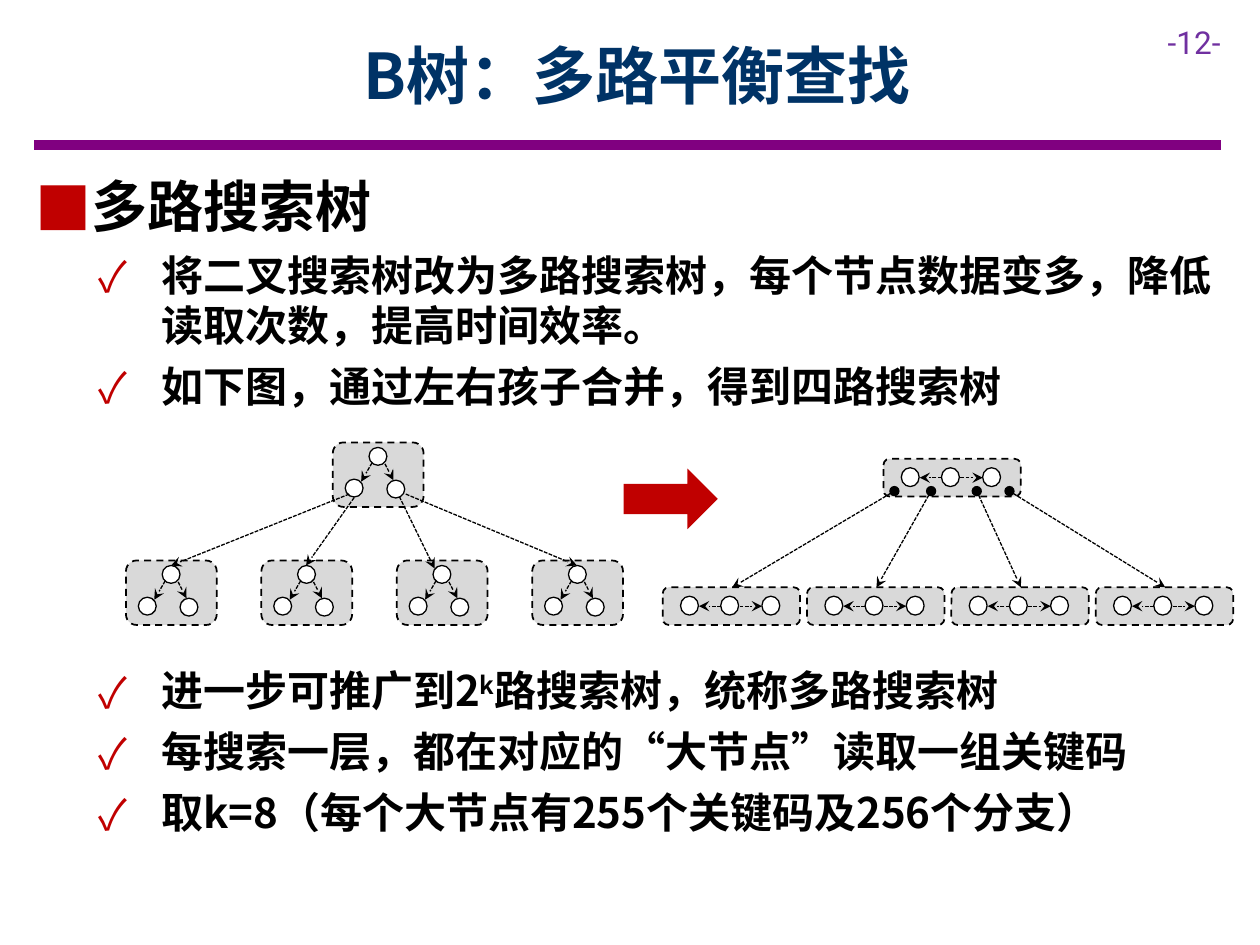
import dataclasses

import pptx
import pptx.dml.color
import pptx.enum.dml
import pptx.enum.shapes
import pptx.enum.text
import pptx.oxml
import pptx.oxml.ns
import pptx.util
from pptx.util import Cm, Pt

SHAPE = pptx.enum.shapes.MSO_SHAPE
DASH = pptx.enum.dml.MSO_LINE
ALIGN = pptx.enum.text.PP_ALIGN
ANCHOR = pptx.enum.text.MSO_ANCHOR


@dataclasses.dataclass(frozen=True)
class Theme:
    """Colours, fonts and type sizes of the slide."""
    title: str = "003366"
    rule: str = "800080"
    number: str = "7030A0"
    accent: str = "C00000"
    ink: str = "000000"
    panel: str = "D9D9D9"
    paper: str = "FFFFFF"
    font: str = "Noto Sans CJK SC"
    number_font: str = "Roboto"
    title_size: int = 36
    heading_size: int = 32
    body_size: int = 24
    number_size: int = 18


def rgb(value):
    """Turn a hex string into a colour."""
    return pptx.dml.color.RGBColor.from_string(value)


def add_child(parent, tag, **attributes):
    """Append a drawing element with the given attributes."""
    child = pptx.oxml.parse_xml(f"<a:{tag} {pptx.oxml.ns.nsdecls('a')}/>")
    for name, value in attributes.items():
        child.set(name, value)
    parent.append(child)
    return child


class SlideBuilder:
    """Draws styled elements on the current slide."""

    def __init__(self, slide, theme):
        """Keep the slide and its theme."""
        self.slide = slide
        self.theme = theme
        self.canvas = slide.shapes

    def start_group(self):
        """Send the next shapes to a new group."""
        self.canvas = self.slide.shapes.add_group_shape().shapes

    def end_group(self):
        """Send the next shapes to the slide itself."""
        self.canvas = self.slide.shapes

    def text_box(self, left, top, width, height, anchor=ANCHOR.TOP):
        """Add an empty wrapping text box and return its frame."""
        box = self.slide.shapes.add_textbox(Cm(left), Cm(top), Cm(width), Cm(height))
        box.text_frame.word_wrap = True
        box.text_frame.vertical_anchor = anchor
        return box.text_frame

    def style(self, para, size, color, font, bold=True):
        """Format every run of a paragraph."""
        for span in para.runs:
            span.font.size = Pt(size)
            span.font.bold = bold
            span.font.color.rgb = rgb(color)
            span.font.name = font
            add_child(span.font._element, "ea", typeface=font)

    def title(self, text):
        """Add the centred slide title."""
        frame = self.text_box(2.29, 0.23, 21.11, 2.54, ANCHOR.MIDDLE)
        frame.text = text
        para = frame.paragraphs[0]
        para.alignment = ALIGN.CENTER
        self.style(para, self.theme.title_size, self.theme.title, self.theme.font)

    def page_number(self, text):
        """Add the page number in the corner."""
        frame = self.text_box(23.29, 0.33, 2.11, 1.02)
        frame.text = text
        self.style(frame.paragraphs[0], self.theme.number_size, self.theme.number,
                   self.theme.number_font, bold=False)

    def bullets(self, left, top, width, height, items):
        """Add a list of (level, text parts); odd parts are superscript."""
        frame = self.text_box(left, top, width, height)
        levels = {1: ("■", 0.97, 0.97, self.theme.heading_size),
                  2: ("✓", 2.54, 1.27, self.theme.body_size)}
        for index, (level, *parts) in enumerate(items):
            para = frame.add_paragraph() if index else frame.paragraphs[0]
            mark, margin, hang, size = levels[level]
            para.level = level - 1
            para.space_after = Pt(6)
            properties = para._p.get_or_add_pPr()
            properties.set("marL", str(Cm(margin)))
            properties.set("indent", str(-Cm(hang)))
            add_child(add_child(properties, "buClr"), "srgbClr", val=self.theme.accent)
            add_child(properties, "buFont", typeface=self.theme.font)
            add_child(properties, "buChar", char=mark)
            for position, part in enumerate(parts):
                span = para.add_run()
                span.text = part
                if position % 2:
                    span.font._element.set("baseline", "30000")
            self.style(para, size, self.theme.ink, self.theme.font)

    def shape(self, kind, left, top, width, height, fill, line=0, dash=None):
        """Add a filled preset shape, outlined if a line width is given."""
        shape = self.canvas.add_shape(kind, Cm(left), Cm(top), Cm(width), Cm(height))
        shape.shadow.inherit = False
        shape.fill.solid()
        shape.fill.fore_color.rgb = rgb(fill)
        if line:
            shape.line.color.rgb = rgb(self.theme.ink)
            shape.line.width = Pt(line)
            shape.line.dash_style = dash
        else:
            shape.line.fill.background()

    def line(self, start, end, color, width):
        """Add a straight line without shadow."""
        line = self.canvas.add_connector(
            pptx.enum.shapes.MSO_CONNECTOR.STRAIGHT, *map(Cm, start + end))
        line.line.color.rgb = rgb(color)
        line.line.width = Pt(width)
        add_child(line._element.spPr, "effectLst")
        return line

    def arrow(self, start, end, dot=False):
        """Add a dashed arrow, with a dot at its start if asked."""
        arrow = self.line(start, end, self.theme.ink, 0.75)
        arrow.line.dash_style = DASH.SQUARE_DOT
        outline = arrow.line._get_or_add_ln()
        if dot:
            add_child(outline, "headEnd", type="oval")
        add_child(outline, "tailEnd", type="stealth")

    def node(self, left, top, size, key_size, keys, links):
        """Add a dashed panel holding key circles and inner arrows."""
        self.shape(SHAPE.ROUNDED_RECTANGLE, left, top, *size, self.theme.panel, 1, DASH.DASH)
        for x, y in keys:
            self.shape(SHAPE.OVAL, left + x, top + y, *key_size, self.theme.paper, 0.75)
        for x1, y1, x2, y2 in links:
            self.arrow((left + x1, top + y1), (left + x2, top + y2))

    def binary_node(self, left, top):
        """Add a node of a parent key and its two children."""
        self.node(left, top, (1.83, 1.3), (0.36, 0.36),
                  [(0.73, 0.1), (1.09, 0.76), (0.25, 0.74)],
                  [(0.79, 0.41, 0.57, 0.79), (1.05, 0.43, 1.22, 0.76)])

    def merged_node(self, left, top):
        """Add a node of three keys in a row."""
        self.node(left, top, (2.77, 0.76), (0.36, 0.38),
                  [(x, 0.18) for x in (0.36, 1.17, 2)],
                  [(1.17, 0.38, 0.73, 0.38), (1.55, 0.38, 2, 0.38)])

    def tree(self, draw_node, root, first_leaf, pitch, links, dot=False):
        """Add a group of a root, four leaves and the arrows between them."""
        self.start_group()
        draw_node(*root)
        for index in range(4):
            draw_node(first_leaf[0] + index * pitch, first_leaf[1])
        for start, end in links:
            self.arrow(start, end, dot)
        self.end_group()


def main():
    """Build the slide and save it."""
    deck = pptx.Presentation()
    deck.slide_width, deck.slide_height = Cm(25.4), Cm(19.05)
    theme = Theme()
    page = SlideBuilder(deck.slides.add_slide(deck.slide_layouts[6]), theme)
    page.line((0.69, 2.92), (24.61, 2.92), theme.rule, 6)
    page.page_number("-12-")
    page.title("B树：多路平衡查找")
    page.bullets(0.46, 3.33, 24.71, 5.3, [
        (1, "多路搜索树"),
        (2, "将二叉搜索树改为多路搜索树，每个节点数据变多，降低读取次数，提高时间效率。"),
        (2, "如下图，通过左右孩子合并，得到四路搜索树")])
    page.bullets(0.46, 13.28, 24.71, 3.87, [
        (2, "进一步可推广到2", "k", "路搜索树，统称多路搜索树"),
        (2, "每搜索一层，都在对应的“大节点”读取一组关键码"),
        (2, "取k=8（每个大节点有255个关键码及256个分支）")])
    page.tree(page.binary_node, (6.71, 8.92), (2.54, 11.3), 2.73, [
        ((7.04, 9.96), (3.45, 11.4)), ((7.14, 10.03), (6.17, 11.4)),
        ((8.05, 10.01), (8.76, 11.46)), ((8.18, 9.96), (11.63, 11.4))])
    page.shape(SHAPE.RIGHT_ARROW, 12.57, 9.45, 1.9, 1.22, theme.accent)
    exits = (18.03, 18.77, 19.69, 20.35)
    page.tree(page.merged_node, (17.81, 9.25), (13.36, 11.84), 2.91, [
        ((x, 9.9), (14.76 + index * 2.91, 11.84)) for index, x in enumerate(exits)], dot=True)
    deck.save("out.pptx")


if __name__ == "__main__":
    main()
